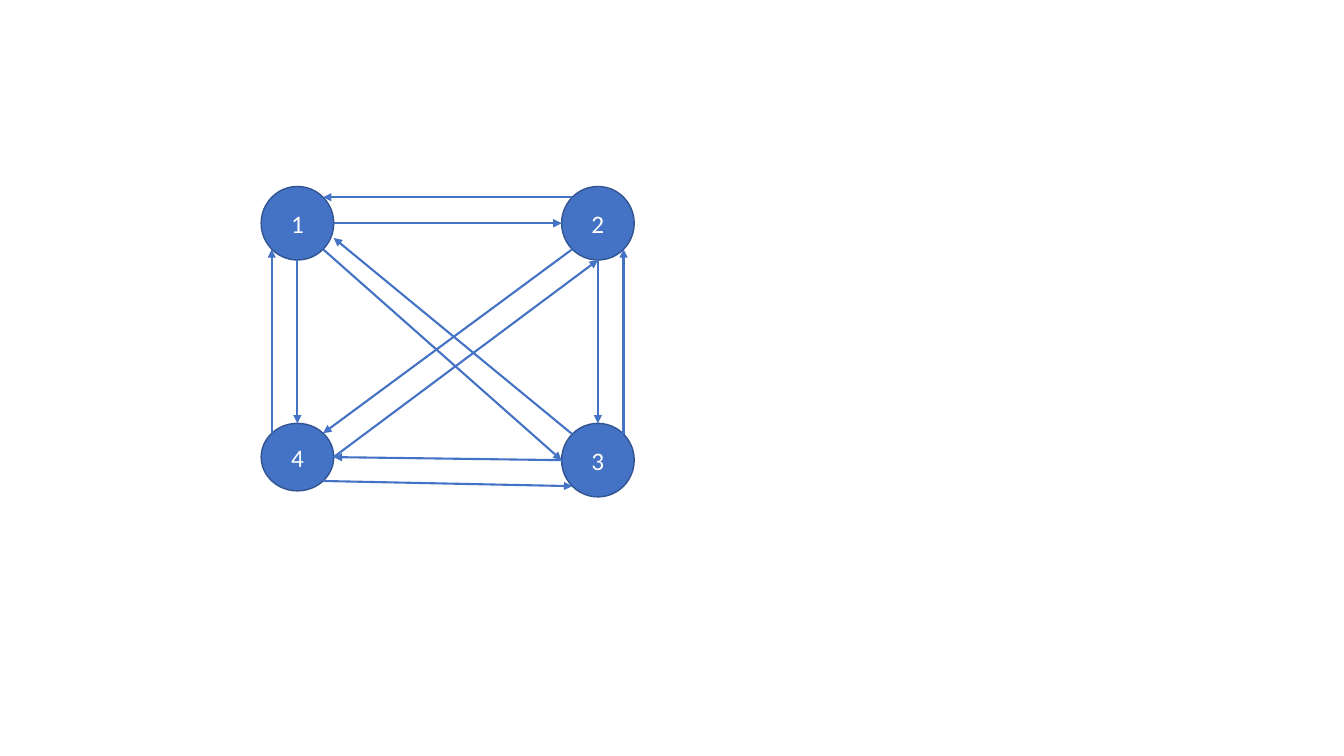
from math import sqrt

from lxml.etree import SubElement
from pptx import Presentation
from pptx.dml.color import RGBColor
from pptx.enum.shapes import MSO_CONNECTOR, MSO_SHAPE
from pptx.enum.text import MSO_ANCHOR, PP_ALIGN
from pptx.oxml.ns import qn
from pptx.util import Inches, Pt

COLORS = {"node": "4472C4", "outline": "325491", "label": "FFFFFF", "edge": "4472C4"}

NODE_WIDTH = 0.72
NODES = {
    "1": (2.59, 1.85, 0.73),
    "2": (5.57, 1.85, 0.73),
    "4": (2.59, 4.2, 0.67),
    "3": (5.57, 4.2, 0.73),
}

DIAGONAL = sqrt(0.5)
SITES = {
    "top": (0, -1),
    "bottom": (0, 1),
    "left": (-1, 0),
    "right": (1, 0),
    "top left": (-DIAGONAL, -DIAGONAL),
    "top right": (DIAGONAL, -DIAGONAL),
    "bottom left": (-DIAGONAL, DIAGONAL),
    "bottom right": (DIAGONAL, DIAGONAL),
    "below right": (1, 0.4),
}

EDGES = [
    ("1", "right", "2", "left"),
    ("1", "bottom right", "3", "left"),
    ("1", "bottom", "4", "top"),
    ("2", "top left", "1", "top right"),
    ("2", "bottom", "3", "top"),
    ("2", "bottom left", "4", "top right"),
    ("3", "left", "4", "right"),
    ("3", "top left", "1", "below right"),
    ("4", "bottom right", "3", "bottom left"),
    ("4", "top left", "1", "bottom left"),
    ("3", "top right", "2", "bottom right"),
    ("4", "right", "2", "bottom"),
]


def color(name):
    """Return the palette colour with the given name."""
    return RGBColor.from_string(COLORS[name])


def write_text(frame, text, size=18, font="Calibri", fill="label", align=PP_ALIGN.CENTER):
    """Write one formatted line, centred vertically in its frame."""
    frame.vertical_anchor = MSO_ANCHOR.MIDDLE
    paragraph = frame.paragraphs[0]
    paragraph.alignment = align
    run = paragraph.add_run()
    run.text = text
    run.font.size = Pt(size)
    run.font.name = font
    run.font.color.rgb = color(fill)


def add_node(slide, label):
    """Draw one numbered graph node."""
    left, top, height = NODES[label]
    node = slide.shapes.add_shape(
        MSO_SHAPE.OVAL, Inches(left), Inches(top), Inches(NODE_WIDTH), Inches(height)
    )
    node.shadow.inherit = False
    node.fill.solid()
    node.fill.fore_color.rgb = color("node")
    node.line.color.rgb = color("outline")
    node.line.width = Pt(1)
    write_text(node.text_frame, label)


def site_point(label, site):
    """Return the position of a connection site on a node."""
    left, top, height = NODES[label]
    across, down = SITES[site]
    x = left + NODE_WIDTH / 2 * (1 + across)
    y = top + height / 2 * (1 + down)
    return Inches(x), Inches(y)


def add_edge(slide, source, source_site, target, target_site):
    """Draw a directed edge between two nodes."""
    edge = slide.shapes.add_connector(
        MSO_CONNECTOR.STRAIGHT,
        *site_point(source, source_site),
        *site_point(target, target_site),
    )
    edge.line.color.rgb = color("edge")
    edge.line.width = Pt(1.5)
    SubElement(edge.line._get_or_add_ln(), qn("a:tailEnd"), type="triangle")
    SubElement(edge._element.spPr, qn("a:effectLst"))


def main():
    """Build the slide with a complete directed graph of four nodes."""
    presentation = Presentation()
    presentation.slide_width = Inches(13.33)
    presentation.slide_height = Inches(7.5)
    slide = presentation.slides.add_slide(presentation.slide_layouts[6])
    for label in NODES:
        add_node(slide, label)
    for edge in EDGES:
        add_edge(slide, *edge)
    presentation.save("out.pptx")


if __name__ == "__main__":
    main()
